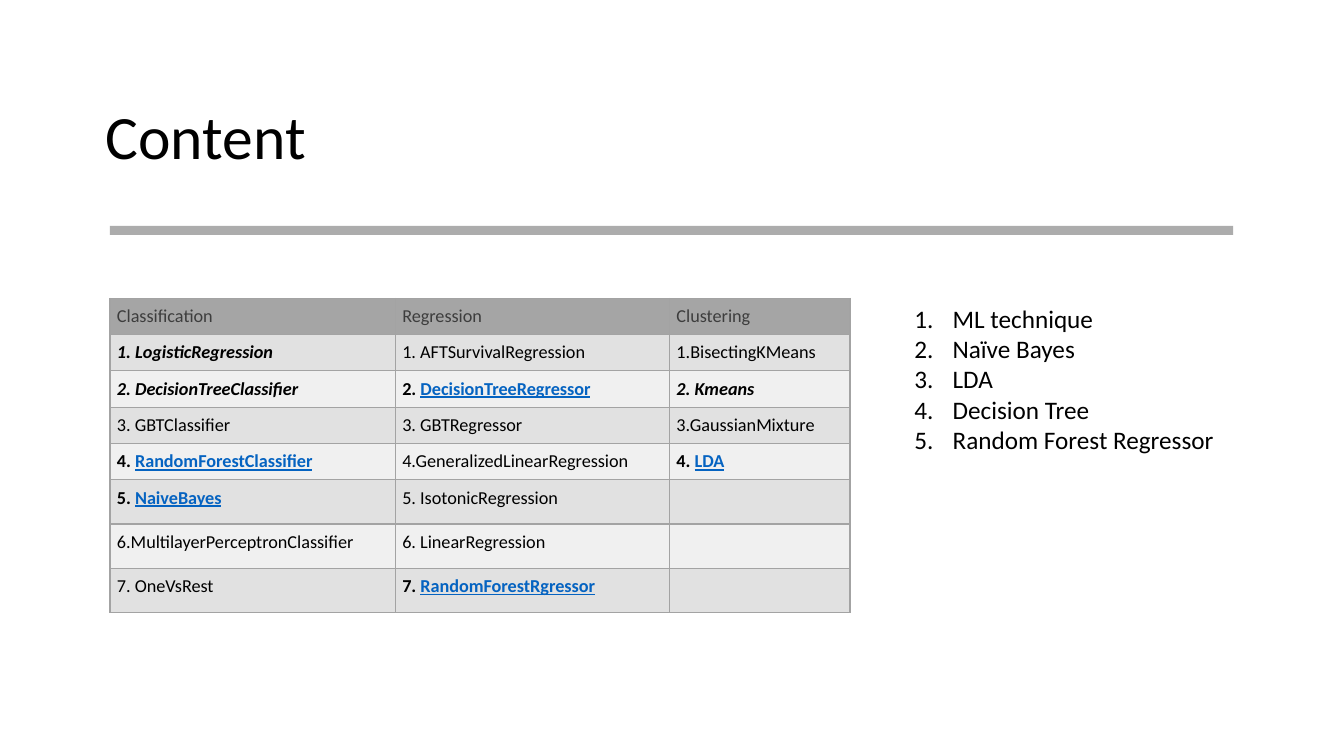
from typing import NamedTuple

from lxml import etree
from pptx import Presentation
from pptx import util as u
from pptx.dml.color import RGBColor
from pptx.enum import shapes, text
from pptx.oxml import ns

FONT = "Calibri"
BLACK = RGBColor(0x00, 0x00, 0x00)
HEADER_TEXT = RGBColor(0x3D, 0x3D, 0x3D)
HEADER_FILL = RGBColor(0xA5, 0xA5, 0xA5)
ODD_FILL = RGBColor(0xE1, 0xE1, 0xE1)
EVEN_FILL = RGBColor(0xF0, 0xF0, 0xF0)
LINK_BLUE = RGBColor(0x05, 0x63, 0xC1)
RULE_GRAY = RGBColor(0x80, 0x80, 0x80)
BORDER = RGBColor(0xA3, 0xA3, 0xA3)


class Style(NamedTuple):
    color: RGBColor = BLACK
    bold: bool = False
    italic: bool = False
    underline: bool = False


class Entry(NamedTuple):
    """A cell's text; a linked name follows the label in blue."""
    label: str
    style: Style = Style()
    linked: str = ""


class Column(NamedTuple):
    width: float
    entries: list[Entry]


HEADER = Style(HEADER_TEXT)
BOLD = Style(bold=True)
STRONG = Style(bold=True, italic=True)
LINK = Style(LINK_BLUE, bold=True, underline=True)

COLUMNS = [
    Column(2.83, [
        Entry("Classification", HEADER),
        Entry("1. LogisticRegression", STRONG),
        Entry("2. DecisionTreeClassifier", STRONG),
        Entry("3. GBTClassifier"),
        Entry("4. ", BOLD, "RandomForestClassifier"),
        Entry("5. ", BOLD, "NaiveBayes"),
        Entry("6.MultilayerPerceptronClassifier"),
        Entry("7. OneVsRest"),
    ]),
    Column(2.72, [
        Entry("Regression", HEADER),
        Entry("1. AFTSurvivalRegression"),
        Entry("2. ", BOLD, "DecisionTreeRegressor"),
        Entry("3. GBTRegressor"),
        Entry("4.GeneralizedLinearRegression"),
        Entry("5. IsotonicRegression"),
        Entry("6. LinearRegression"),
        Entry("7. ", BOLD, "RandomForestRgressor"),
    ]),
    Column(1.79, [
        Entry("Clustering", HEADER),
        Entry("1.BisectingKMeans"),
        Entry("2. Kmeans", STRONG),
        Entry("3.GaussianMixture"),
        Entry("4. ", BOLD, "LDA"),
        Entry(""), Entry(""), Entry(""),
    ]),
]
ROW_HEIGHTS = [0.36] * 5 + [0.42] * 3
TOPICS = ["ML technique", "Naïve Bayes", "LDA", "Decision Tree", "Random Forest Regressor"]


def format_run(r, size: float, style: Style = Style()) -> None:
    r.font.name = FONT
    r.font.size = u.Pt(size)
    r.font.color.rgb = style.color
    r.font.bold = style.bold
    r.font.italic = style.italic
    r.font.underline = style.underline


def add_text(s, left: float, top: float, width: float, height: float, content: str, size: float):
    tf = s.shapes.add_textbox(*map(u.Inches, (left, top, width, height))).text_frame
    tf.word_wrap = True
    tf.text = content
    for p in tf.paragraphs:
        for r in p.runs:
            format_run(r, size)
    return tf


def add_rule(s) -> None:
    sp = s.shapes.add_shape(shapes.MSO_SHAPE.RECTANGLE,
                            *map(u.Inches, (1.09, 2.24, 11.14, 0.09)))
    sp.shadow.inherit = False
    sp.fill.solid()
    sp.fill.fore_color.rgb = RULE_GRAY
    sp.line.fill.background()
    color = sp._element.spPr.find(".//" + ns.qn("a:srgbClr"))
    etree.SubElement(color, ns.qn("a:alpha"), val="65000")


def add_borders(cell) -> None:
    tc_pr = cell._tc.get_or_add_tcPr()
    for side in ("lnL", "lnR", "lnT", "lnB"):
        ln = etree.SubElement(tc_pr, ns.qn(f"a:{side}"), w=str(u.Pt(1)))
        fill = etree.SubElement(ln, ns.qn("a:solidFill"))
        etree.SubElement(fill, ns.qn("a:srgbClr"), val=str(BORDER))


def fill_cell(cell, entry: Entry, fill: RGBColor) -> None:
    add_borders(cell)
    cell.fill.solid()
    cell.fill.fore_color.rgb = fill
    cell.margin_left = cell.margin_right = u.Inches(0.07)
    cell.margin_top = cell.margin_bottom = u.Inches(0.07)
    p = cell.text_frame.paragraphs[0]
    r = p.add_run()
    r.text = entry.label
    format_run(r, 13, entry.style)
    if entry.linked:
        r = p.add_run()
        r.text = entry.linked
        format_run(r, 13, LINK)


def add_algorithm_table(s) -> None:
    width = sum(column.width for column in COLUMNS)
    table = s.shapes.add_table(
        len(ROW_HEIGHTS), len(COLUMNS),
        *map(u.Inches, (1.09, 2.96, width, sum(ROW_HEIGHTS)))).table
    for row, height in zip(table.rows, ROW_HEIGHTS):
        row.height = u.Inches(height)
    for j, column in enumerate(COLUMNS):
        table.columns[j].width = u.Inches(column.width)
        for i, entry in enumerate(column.entries):
            band = ODD_FILL if i % 2 else EVEN_FILL
            fill_cell(table.cell(i, j), entry, band if i else HEADER_FILL)


def number_paragraphs(tf) -> None:
    indent = u.Inches(0.38)
    for p in tf.paragraphs:
        p_pr = p._p.get_or_add_pPr()
        p_pr.set("marL", str(indent))
        p_pr.set("indent", str(-indent))
        etree.SubElement(p_pr, ns.qn("a:buFont"), typeface="+mj-lt")
        etree.SubElement(p_pr, ns.qn("a:buAutoNum"), type="arabicPeriod")


def main() -> None:
    prs = Presentation()
    prs.slide_width, prs.slide_height = u.Inches(13.33), u.Inches(7.5)
    s = prs.slides.add_slide(prs.slide_layouts[6])

    title = add_text(s, 0.95, 0.66, 11.43, 1.45, "Content", 44)
    title.vertical_anchor = text.MSO_ANCHOR.MIDDLE
    title.paragraphs[0].line_spacing = 0.9
    add_rule(s)
    add_algorithm_table(s)
    topics = add_text(s, 8.97, 2.96, 3.62, 1.62, "\n".join(TOPICS), 18)
    topics.auto_size = text.MSO_AUTO_SIZE.SHAPE_TO_FIT_TEXT
    number_paragraphs(topics)

    prs.save("out.pptx")


if __name__ == "__main__":
    main()
